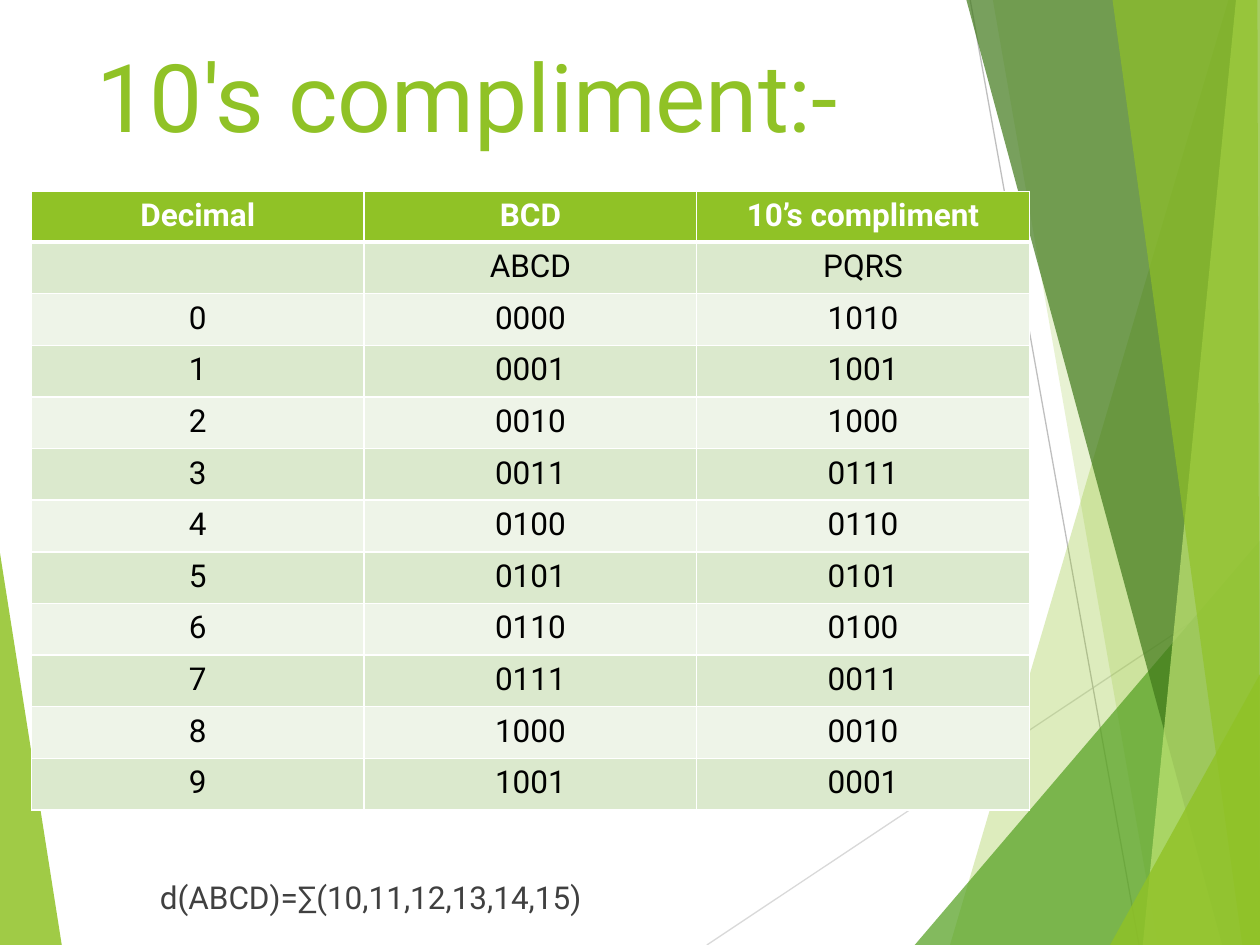
from lxml import etree
from pptx import Presentation
from pptx import util as u
from pptx.dml.color import RGBColor
from pptx.enum import shapes, text
from pptx.oxml import ns

LIME = RGBColor(0x90, 0xC2, 0x26)
GREEN = RGBColor(0x54, 0xA0, 0x21)
FOREST = RGBColor(0x3F, 0x78, 0x19)
PALE_LIME = RGBColor(0xC0, 0xE4, 0x74)
BAND_DARK = RGBColor(0xDB, 0xE9, 0xCD)
BAND_LIGHT = RGBColor(0xEE, 0xF4, 0xE8)
LIGHT_GRAY = RGBColor(0xD9, 0xD9, 0xD9)
GRAY = RGBColor(0xBF, 0xBF, 0xBF)
DARK_GRAY = RGBColor(0x40, 0x40, 0x40)
WHITE = RGBColor(0xFF, 0xFF, 0xFF)
BLACK = RGBColor(0, 0, 0)
FONT = "Roboto"


def write(frame, words, size, color, bold=False):
    """Put one styled line into a text frame and return its paragraph."""
    frame.text = words
    paragraph = frame.paragraphs[0]
    for run in paragraph.runs:
        run.font.name, run.font.size = FONT, u.Pt(size)
        run.font.bold, run.font.color.rgb = bold, color
    return paragraph


def set_border(cell, side, points):
    """Draw a white border on one side (L, R, T or B) of a table cell."""
    properties = cell._tc.get_or_add_tcPr()
    line = etree.SubElement(properties, ns.qn(f"a:ln{side}"), w=str(u.Pt(points)))
    fill = etree.SubElement(line, ns.qn("a:solidFill"))
    etree.SubElement(fill, ns.qn("a:srgbClr"), val=str(WHITE))


presentation = Presentation()
presentation.slide_width, presentation.slide_height = u.Inches(10), u.Inches(7.5)
slide = presentation.slides.add_slide(presentation.slide_layouts[6])
right, bottom = 10, 7.5

# Thin lines behind the facets
for start_x, start_y, end_x, end_y, color in [
    (5.61, bottom, 10.01, 4.57, LIGHT_GRAY),
    (7.7, 0, 9.04, bottom, GRAY),
]:
    line = slide.shapes.add_connector(
        shapes.MSO_CONNECTOR.STRAIGHT,
        *map(u.Inches, (start_x, start_y, end_x, end_y)))
    line.line.color.rgb, line.line.width = color, u.Pt(0.75)
    etree.SubElement(line._element.spPr, ns.qn("a:effectLst"))

# Translucent facets: corner points, colour, opacity in percent
facets = [
    ([(0, 4.39), (0.49, bottom), (0, bottom)], LIME, 85),
    ([(9.75, 0), (7.54, bottom), (right, bottom), (right, 0)], LIME, 30),
    ([(7.88, 0), (9.19, bottom), (right, bottom), (right, 0)], LIME, 20),
    ([(7.26, bottom), (right, 4.29), (right, bottom)], GREEN, 72),
    ([(7.67, 0), (9.7, bottom), (right, bottom), (right, 0)], FOREST, 70),
    ([(9.81, 0), (9.07, bottom), (right, bottom), (right, 0)], PALE_LIME, 70),
    ([(8.83, 0), (9.86, bottom), (right, bottom), (9.98, 0)], LIME, 65),
    ([(8.81, bottom), (right, 5.35), (right, bottom)], LIME, 80),
]
for corners, color, opacity in facets:
    points = [(u.Inches(x), u.Inches(y)) for x, y in corners]
    builder = slide.shapes.build_freeform(*points[0])
    builder.add_line_segments(points[1:], close=True)
    facet = builder.convert_to_shape()
    facet.shadow.inherit = False
    facet.line.fill.background()
    facet.fill.solid()
    facet.fill.fore_color.rgb = color
    tint = facet._element.spPr.find(".//" + ns.qn("a:srgbClr"))
    etree.SubElement(tint, ns.qn("a:alpha"), val=str(opacity * 1000))

# Title and formula
for words, left, top, height, size, color, anchor in [
    ("10's compliment:-", 0.67, 0.58, 0.67, 54, LIME, text.MSO_ANCHOR.BOTTOM),
    ("d(ABCD)=∑(10,11,12,13,14,15)", 1.17, 6.92, 0.66, 18, DARK_GRAY,
     text.MSO_ANCHOR.TOP),
]:
    box = slide.shapes.add_textbox(*map(u.Inches, (left, top, 6.45, height)))
    box.text_frame.word_wrap = True
    box.text_frame.vertical_anchor = anchor
    write(box.text_frame, words, size, color)
box.text_frame.paragraphs[0].space_before = u.Pt(10)

# Each digit with its BCD code and its ten's complement
rows = [("Decimal", "BCD", "10’s compliment"), ("", "ABCD", "PQRS")]
rows += [(str(digit), f"{digit:04b}", f"{10 - digit:04b}") for digit in range(10)]
table = slide.shapes.add_table(
    len(rows), 3, *map(u.Inches, (0.25, 1.52, 7.92, 4.86))).table
for column in table.columns:
    column.width = u.Inches(2.64)
for row_index, row in enumerate(rows):
    header = row_index == 0
    table.rows[row_index].height = u.Inches(0.39 if header else 0.41)
    for column_index, words in enumerate(row):
        cell = table.cell(row_index, column_index)
        paragraph = write(cell.text_frame, words, 18,
                          WHITE if header else BLACK, header)
        paragraph.alignment = text.PP_ALIGN.CENTER
        for side in "LRTB":
            thick = (header and side == "B") or (row_index == 1 and side == "T")
            set_border(cell, side, 3 if thick else 1)
        cell.fill.solid()
        band = BAND_DARK if row_index % 2 else BAND_LIGHT
        cell.fill.fore_color.rgb = LIME if header else band

presentation.save("out.pptx")
